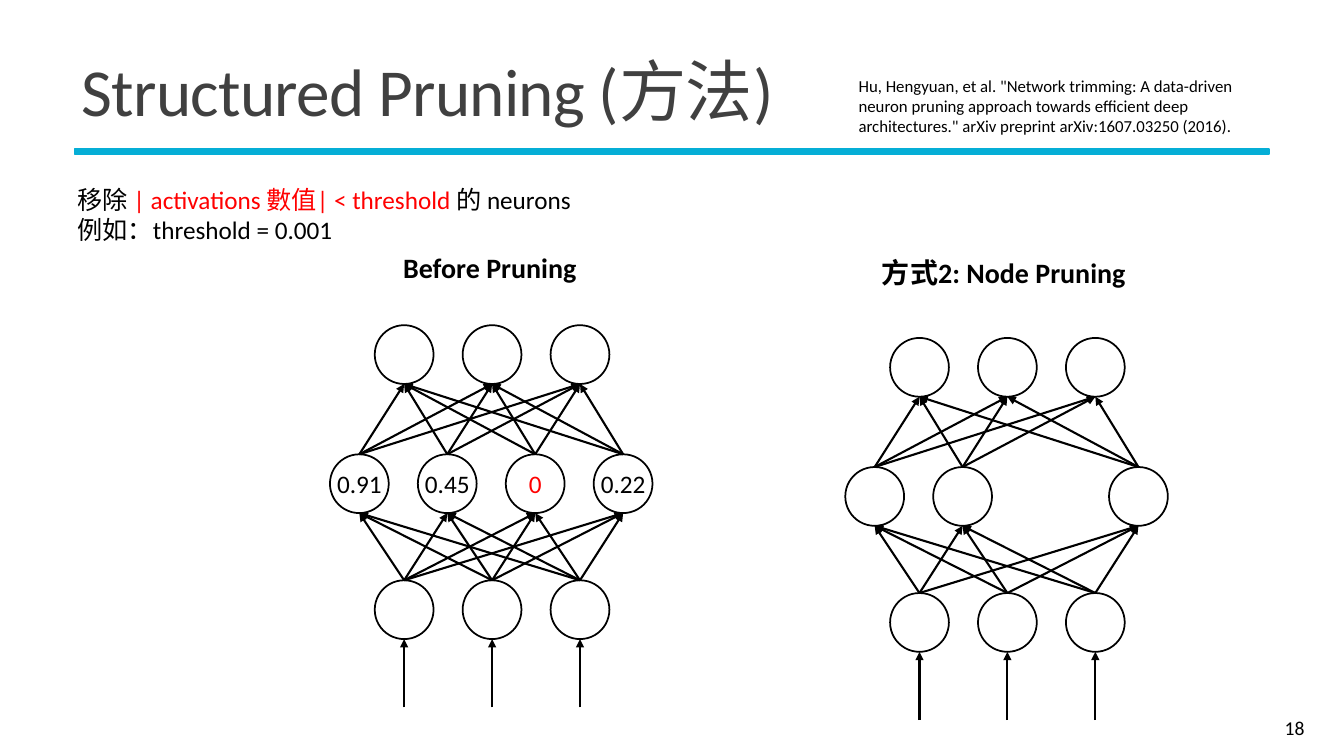
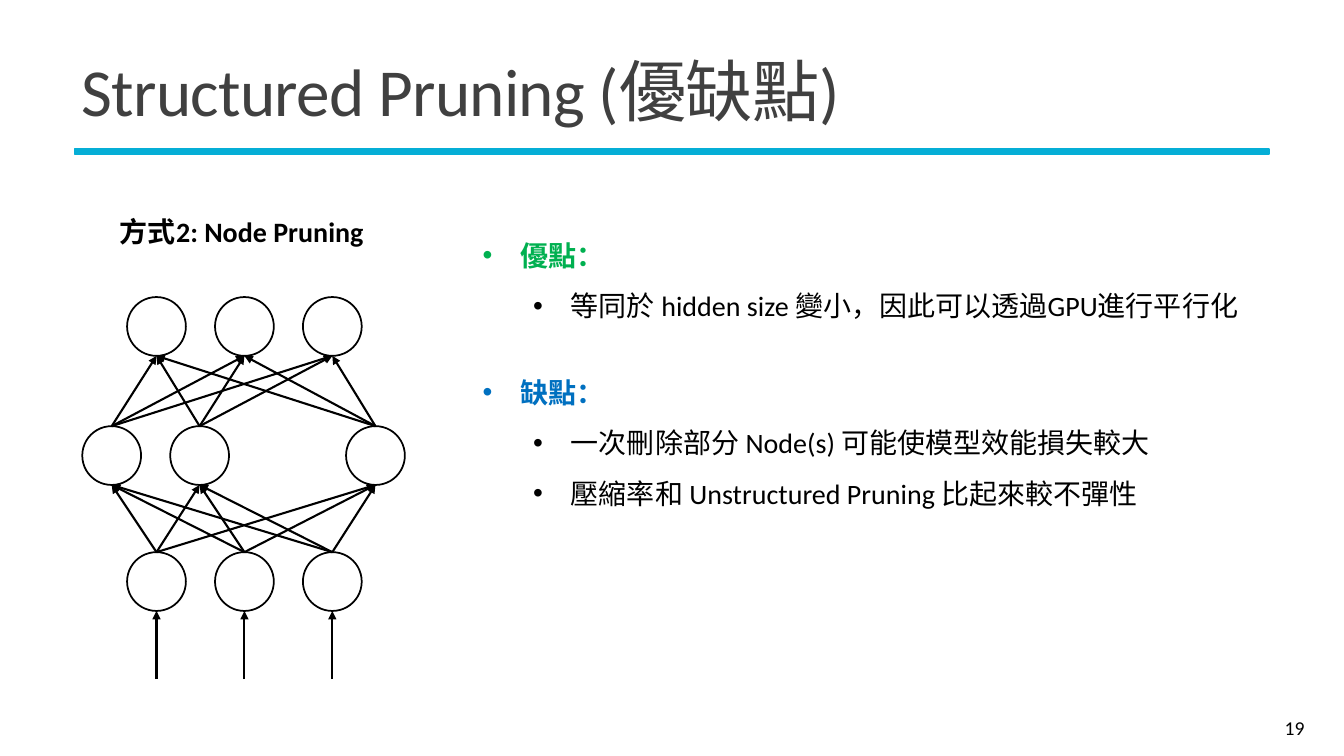
from itertools import product

from lxml import etree
from pptx import Presentation
from pptx.dml.color import RGBColor
from pptx.enum.shapes import MSO_CONNECTOR, MSO_SHAPE
from pptx.enum.text import MSO_ANCHOR, PP_ALIGN
from pptx.oxml.ns import qn
from pptx.util import Pt

RECT, OVAL = MSO_SHAPE.RECTANGLE, MSO_SHAPE.OVAL
STRAIGHT = MSO_CONNECTOR.STRAIGHT
TOP, MIDDLE = MSO_ANCHOR.TOP, MSO_ANCHOR.MIDDLE
LEFT, CENTER, RIGHT = PP_ALIGN.LEFT, PP_ALIGN.CENTER, PP_ALIGN.RIGHT

LATIN, CJK = "Calibri", "Noto Sans CJK TC"
BLACK, GRAY, CYAN = "000000", "404040", "05AED6"
RED, GREEN, BLUE = "FF0000", "00B050", "0070C0"


def rgb(value):
    return RGBColor.from_string(value)


def add_text(s, box, paragraphs, size=18, color=BLACK, bold=False, align=LEFT,
             anchor=TOP, spacing=None, tracking=None, bullets=False):
    """Each paragraph is a list of (text, overrides) runs."""
    tf = s.shapes.add_textbox(*map(Pt, box)).text_frame
    tf.word_wrap = True
    tf.vertical_anchor = anchor
    for i, runs in enumerate(paragraphs):
        p = tf.paragraphs[0] if i == 0 else tf.add_paragraph()
        p.alignment = align
        if spacing:
            p.line_spacing = spacing
        if bullets:
            p.level = min(i, 1)
            pPr = p._p.get_or_add_pPr()
            pPr.set("marL", str(Pt(27 + 36 * p.level)))
            pPr.set("indent", str(Pt(-27)))
            etree.SubElement(pPr, qn("a:buFont")).set("typeface", "Arial")
            etree.SubElement(pPr, qn("a:buChar")).set("char", "•")
        for text, override in runs:
            r = p.add_run()
            r.text = text
            r.font.name = override.get("font", LATIN)
            r.font.size = Pt(size)
            r.font.bold = override.get("bold", bold)
            r.font.color.rgb = rgb(override.get("color", color))
            rPr = r._r.get_or_add_rPr()
            etree.SubElement(rPr, qn("a:ea")).set("typeface", CJK)
            if tracking:
                rPr.set("spc", str(tracking))


prs = Presentation()
prs.slide_width, prs.slide_height = Pt(960), Pt(540)

# Title, rule and page number on both slides
for number, topic in ((18, "方法"), (19, "優缺點")):
    s = prs.slides.add_slide(prs.slide_layouts[6])
    sp = s.shapes.add_shape(RECT, Pt(53.3), Pt(106.6), Pt(853.2), Pt(3.6))
    sp.shadow.inherit = False
    sp.fill.solid()
    sp.fill.fore_color.rgb = rgb(CYAN)
    sp.line.color.rgb = rgb(CYAN)
    sp.line.width = Pt(1.25)
    title = [("Structured Pruning (", {}), (topic, {"font": CJK}), (")", {})]
    add_text(s, (51.1, 28.1, 859.7, 81.4), [title], size=48, color=GRAY,
             anchor=MIDDLE, spacing=0.85, tracking=-50)
    add_text(s, (835.9, 505.4, 103, 28.8), [[(str(number), {})]], size=14,
             align=RIGHT, anchor=MIDDLE)
method, tradeoffs = prs.slides

# Networks: three outputs, up to four hidden nodes, three inputs
NODE, PITCH, INSET = 42, 62.8, 32
HIDDEN_Y, INPUT_Y, FEED_Y = 92.2, 182.2, 273
networks = [
    (method, 235.7, 232.3, (0, 1, 2, 3)),
    (method, 603.8, 241.4, (0, 1, 3)),
    (tradeoffs, 58.8, 212.2, (0, 1, 3)),
]
for s, left, top, kept in networks:
    shapes = s.shapes.add_group_shape().shapes
    outer_x = [left + INSET + PITCH * i for i in range(3)]
    hidden_x = [left + PITCH * i for i in kept]
    layers = ((outer_x, top), (hidden_x, top + HIDDEN_Y), (outer_x, top + INPUT_Y))
    for xs, y in layers:
        for x in xs:
            sp = shapes.add_shape(OVAL, Pt(x), Pt(y), Pt(NODE), Pt(NODE))
            sp.shadow.inherit = False
            sp.fill.background()
            sp.line.color.rgb = rgb(BLACK)
            sp.line.width = Pt(1.25)

    # Arrows run from the top of a node to the bottom of the node above
    arrows = [(x, top + FEED_Y, x, top + INPUT_Y + NODE) for x in outer_x]
    for (upper, upper_y), (lower, lower_y) in zip(layers, layers[1:]):
        arrows += [(x1, lower_y, x2, upper_y + NODE)
                   for x1, x2 in product(lower, upper)]
    for x1, y1, x2, y2 in arrows:
        line = shapes.add_connector(STRAIGHT, Pt(x1 + NODE / 2), Pt(y1),
                                    Pt(x2 + NODE / 2), Pt(y2))
        line.line.color.rgb = rgb(BLACK)
        line.line.width = Pt(1.5)
        etree.SubElement(line.line._get_or_add_ln(), qn("a:tailEnd")).set("type", "triangle")
        etree.SubElement(line._element.spPr, qn("a:effectLst"))

# Activation values in the unpruned network
_, left, top, _ = networks[0]
for i, value in enumerate(("0.91", "0.45", "0", "0.22")):
    add_text(method, (left + PITCH * i + NODE / 2 - 23.4, top + 98.9, 46.8, 28.8),
             [[(value, {})]], color=RED if value == "0" else BLACK, align=CENTER)

# Network captions
node_pruning = [("方式", {"font": CJK}), ("2: Node Pruning ", {})]
for s, box, caption in (
    (method, (266.4, 175.7, 167, 31.5), [("Before Pruning", {})]),
    (method, (612, 179.3, 214.6, 31.5), node_pruning),
    (tradeoffs, (67.7, 149.8, 214.6, 31.5), node_pruning),
):
    add_text(s, box, [caption], size=20, bold=True, align=CENTER)

# Method: rule and reference
add_text(method, (48.2, 128.2, 370.8, 51.1), [
    [("移除 ", {}), ("| activations 數值| < threshold ", {"color": RED}), ("的 neurons", {})],
    [("例如：threshold = 0.001", {})],
])
add_text(method, (606.2, 50.4, 296.6, 51.1), [[(
    'Hu, Hengyuan, et al. "Network trimming: A data-driven neuron pruning approach '
    'towards efficient deep architectures." arXiv preprint arXiv:1607.03250 (2016).', {})]],
    size=12)

# Advantages and drawbacks
for box, heading, color, points in (
    ((337.7, 154.8, 555.8, 76.3), "優點：", GREEN,
     ["等同於 hidden size 變小，因此可以透過GPU進行平行化"]),
    ((337.7, 252.7, 584.6, 112.3), "缺點：", BLUE,
     ["一次刪除部分 Node(s) 可能使模型效能損失較大",
      "壓縮率和 Unstructured Pruning 比起來較不彈性"]),
):
    paragraphs = [[(heading, {"color": color, "bold": True})]]
    paragraphs += [[(point, {})] for point in points]
    add_text(tradeoffs, box, paragraphs, size=20, spacing=1.5, bullets=True)

prs.save("out.pptx")
